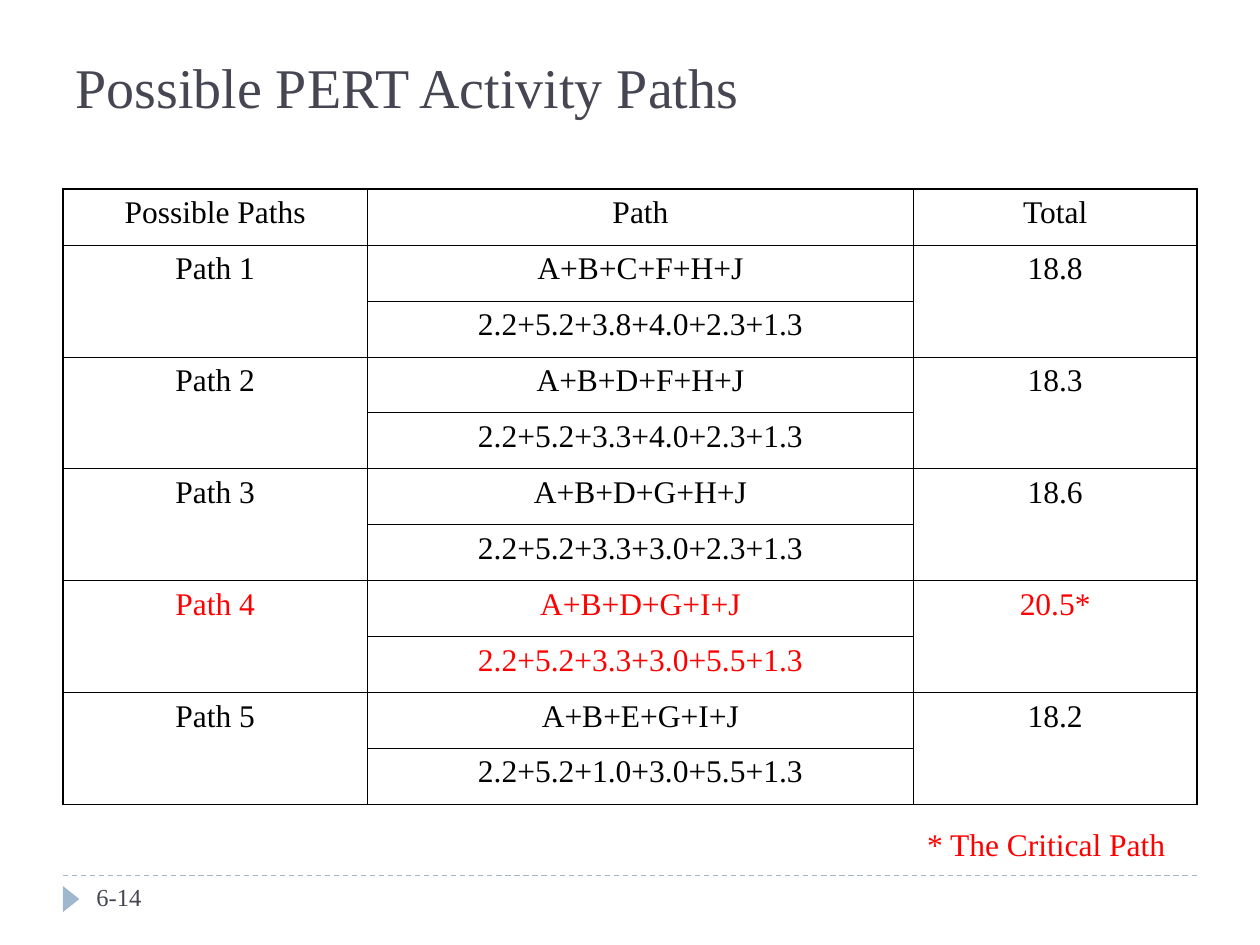
from typing import NamedTuple

from lxml import etree
from pptx import Presentation
from pptx import util as u
from pptx.dml.color import RGBColor
from pptx.enum import dml, shapes, text
from pptx.oxml import ns

Pt = u.Pt
FONT = "Times New Roman"
BLACK = RGBColor(0x00, 0x00, 0x00)
RED = RGBColor(0xFF, 0x00, 0x00)
SLATE = RGBColor(0x46, 0x46, 0x53)
PALE_BLUE = RGBColor(0x9F, 0xB8, 0xCD)

OUTER_BORDER, INNER_BORDER = Pt(1.08), Pt(0.45)
ROW_HEIGHT = 32
COLUMN_WIDTHS = (174, 312, 162)
HEADINGS = ("Possible Paths", "Path", "Total")


class ActivityPath(NamedTuple):
    activities: str
    times: str
    total: str
    color: RGBColor = BLACK


class Label(NamedTuple):
    words: str
    left: float
    top: float
    width: float
    height: float
    size: float
    color: RGBColor
    anchor: text.MSO_ANCHOR = text.MSO_ANCHOR.TOP
    wrap: bool = True


PATHS = (
    ActivityPath("A+B+C+F+H+J", "2.2+5.2+3.8+4.0+2.3+1.3", "18.8"),
    ActivityPath("A+B+D+F+H+J", "2.2+5.2+3.3+4.0+2.3+1.3", "18.3"),
    ActivityPath("A+B+D+G+H+J", "2.2+5.2+3.3+3.0+2.3+1.3", "18.6"),
    ActivityPath("A+B+D+G+I+J", "2.2+5.2+3.3+3.0+5.5+1.3", "20.5*", RED),
    ActivityPath("A+B+E+G+I+J", "2.2+5.2+1.0+3.0+5.5+1.3", "18.2"),
)

LABELS = (
    Label("Possible PERT Activity Paths", 36, 12, 648, 60, 32, SLATE,
          text.MSO_ANCHOR.BOTTOM),
    Label("* The Critical Path", 522.7, 468, 150.5, 29, 18, RED, wrap=False),
    Label("6-14", 48, 500.4, 156, 28.8, 14, SLATE),
)


def add_span(para, words: str, size: float, color: RGBColor) -> None:
    span = para.add_run()
    span.text = words
    span.font.name = FONT
    span.font.size = Pt(size)
    span.font.color.rgb = color


def add_label(page, label: Label) -> None:
    box = page.shapes.add_textbox(Pt(label.left), Pt(label.top),
                                  Pt(label.width), Pt(label.height))
    frame = box.text_frame
    frame.word_wrap = label.wrap
    frame.vertical_anchor = label.anchor
    if not label.wrap:
        frame.auto_size = text.MSO_AUTO_SIZE.SHAPE_TO_FIT_TEXT
    add_span(frame.paragraphs[0], label.words, label.size, label.color)


def fill_cell(cell, words: str, color: RGBColor = BLACK) -> None:
    para = cell.text_frame.paragraphs[0]
    para.alignment = text.PP_ALIGN.CENTER
    add_span(para, words, 18, color)


def add_border(cell, side: str, width: int) -> None:
    properties = cell._tc.get_or_add_tcPr()
    line = etree.SubElement(properties, ns.qn(f"a:ln{side}"), w=str(int(width)))
    fill = etree.SubElement(line, ns.qn("a:solidFill"))
    etree.SubElement(fill, ns.qn("a:srgbClr"), val=str(BLACK))


def style_cells(table) -> None:
    last_row, last_column = len(table.rows) - 1, len(table.columns) - 1
    for r in range(last_row + 1):
        for c in range(last_column + 1):
            cell = table.cell(r, c)
            bottom_row = r + cell.span_height - 1
            outer = {"L": c == 0, "R": c == last_column,
                     "T": r == 0, "B": bottom_row == last_row}
            for side, is_outer in outer.items():
                if not (cell.is_spanned and side == "T"):
                    add_border(cell, side,
                               OUTER_BORDER if is_outer else INNER_BORDER)
            cell.fill.background()


def add_path_table(page) -> None:
    row_count = 1 + 2 * len(PATHS)
    table = page.shapes.add_table(
        row_count, len(HEADINGS), Pt(36), Pt(108),
        Pt(sum(COLUMN_WIDTHS)), Pt(ROW_HEIGHT * row_count)).table
    table.first_row = table.horz_banding = False
    for column, width in zip(table.columns, COLUMN_WIDTHS):
        column.width = Pt(width)
    for row in table.rows:
        row.height = Pt(ROW_HEIGHT)

    for c, heading in enumerate(HEADINGS):
        fill_cell(table.cell(0, c), heading)
    # Each path takes two rows, merged in the outer columns
    for number, route in enumerate(PATHS, start=1):
        top = 2 * number - 1
        for c in (0, 2):
            table.cell(top, c).merge(table.cell(top + 1, c))
        fill_cell(table.cell(top, 0), f"Path {number}", route.color)
        fill_cell(table.cell(top, 1), route.activities, route.color)
        fill_cell(table.cell(top + 1, 1), route.times, route.color)
        fill_cell(table.cell(top, 2), route.total, route.color)
    style_cells(table)


def add_footer_marks(page) -> None:
    rule = page.shapes.add_connector(shapes.MSO_CONNECTOR.STRAIGHT,
                                     Pt(36), Pt(500.4), Pt(684), Pt(500.4))
    rule.line.color.rgb = PALE_BLUE
    rule.line.width = Pt(0.75)
    rule.line.dash_style = dml.MSO_LINE.DASH
    etree.SubElement(rule._element.spPr, ns.qn("a:effectLst"))

    marker = page.shapes.add_shape(shapes.MSO_SHAPE.ISOSCELES_TRIANGLE,
                                   Pt(33.1), Pt(509), Pt(15), Pt(9.5))
    marker.rotation = 90
    marker.shadow.inherit = False
    marker.fill.solid()
    marker.fill.fore_color.rgb = PALE_BLUE
    marker.line.fill.background()


def main() -> None:
    deck = Presentation()
    deck.slide_width, deck.slide_height = Pt(720), Pt(540)
    page = deck.slides.add_slide(deck.slide_layouts[6])

    add_footer_marks(page)
    add_path_table(page)
    # Title, critical path note and page number
    for label in LABELS:
        add_label(page, label)
    deck.save("out.pptx")


if __name__ == "__main__":
    main()
